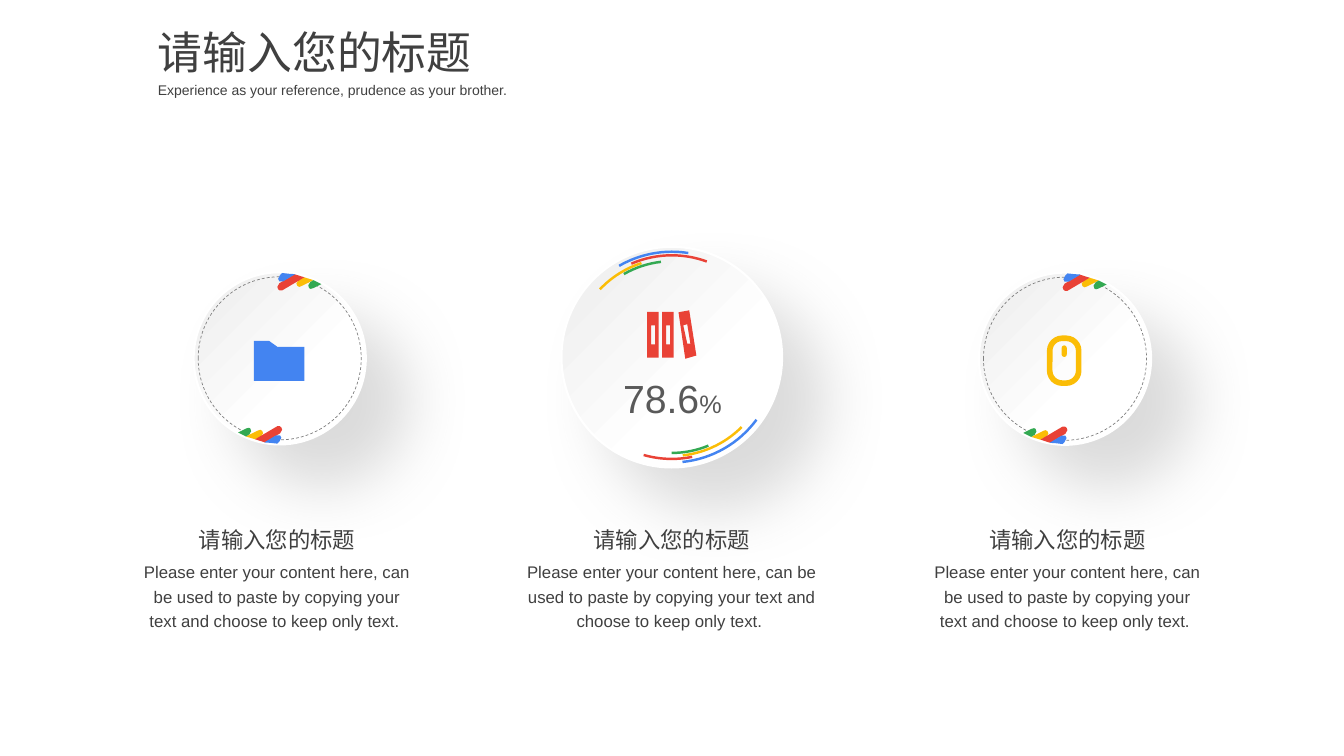
from copy import deepcopy
from dataclasses import dataclass

from lxml.etree import SubElement
from pptx import Presentation
from pptx.dml.color import RGBColor
from pptx.enum.dml import MSO_LINE_DASH_STYLE as Dash
from pptx.enum.shapes import MSO_SHAPE as Preset
from pptx.enum.text import MSO_AUTO_SIZE as AutoSize, PP_ALIGN as Align
from pptx.oxml.ns import qn
from pptx.util import Cm, Pt

COLORS = {
    "white": "FFFFFF", "pale": "ECECEC", "shadow": "A6A6A6", "dash": "808080",
    "text": "404040", "number": "595959",
    "blue": "4384F1", "red": "E94236", "yellow": "FBBD06", "green": "33A952",
}
FONT = "Arial"
HEADING = "请输入您的标题"
BODY = ("Please enter your content here, can be used to paste by copying "
        "your text and choose to keep only text. ")
Point = tuple[float, float]


@dataclass(frozen=True)
class Arc:
    color: str
    diameter: float
    rotation: float
    start: float  # degrees
    end: float


@dataclass(frozen=True)
class Outline:
    """Contours in cm, measured from the centre of a disc."""
    color: str
    contours: list[list[Point]]


@dataclass(frozen=True)
class Column:
    text_center: float
    disc_center: Point
    body_width: float


ARCS = [
    Arc("red", 5.13, 30, 284.01, 311.59),
    Arc("yellow", 4.98, 45, 321.37, 0),
    Arc("green", 4.83, 0, 270, 292.49),
    Arc("blue", 5.31, 0, 275.85, 323.56),
    Arc("red", 5.13, 270, 339.92, 23.41),
    Arc("yellow", 4.98, 285, 32.89, 61.62),
    Arc("green", 4.83, 240, 336.52, 0),
    Arc("blue", 5.31, 240, 321.01, 0),
]
STRIPES = [
    Outline("yellow", [[(.62, -2.04), (.85, -1.97), (.55, -1.82), (.49, -1.8),
                        (.44, -1.83), (.42, -1.89), (.47, -1.97)]]),
    Outline("red", [[(.37, -2.12), (.62, -2.04), (.06, -1.71), (0, -1.71),
                     (-.04, -1.74), (-.06, -1.8), (-.01, -1.89)]]),
    Outline("blue", [[(.06, -2.15), (.24, -2.13), (.39, -2.12), (.09, -1.94),
                      (-.01, -1.94), (-.04, -2), (.01, -2.1)]]),
    Outline("green", [[(.85, -1.97), (1.05, -1.87), (.85, -1.77), (.78, -1.75),
                       (.74, -1.77), (.72, -1.84), (.77, -1.92)]]),
]
FOLDER = Outline("blue", [[(-.06, -.29), (-.27, -.44), (-.65, -.44),
                           (-.65, .57), (.62, .57), (.62, -.29)]])
TILTED_BINDER = Outline("red", [
    [(.44, -1.18), (.17, -1.13), (.34, .04), (.62, -.04)],
    [(.29, -.8), (.39, -.83), (.47, -.34), (.39, -.34)]])
COLUMNS = [
    Column(6.98, (7.05, 9.03), 7.26),
    Column(16.93, (16.93, 9), 8.26),
    Column(26.9, (26.84, 9.04), 7.26),
]

presentation = Presentation()
presentation.slide_width, presentation.slide_height = Cm(33.87), Cm(19.05)
slide = presentation.slides.add_slide(presentation.slide_layouts[6])


def rgb(name: str) -> RGBColor:
    return RGBColor.from_string(COLORS[name])


def rectangle(left: float, top: float, right: float, bottom: float) -> list[Point]:
    return [(left, top), (right, top), (right, bottom), (left, bottom)]


def add_centered(preset: Preset, center: Point, width: float, height: float):
    shape = slide.shapes.add_shape(preset, Cm(center[0] - width / 2),
                                   Cm(center[1] - height / 2), Cm(width), Cm(height))
    shape.shadow.inherit = False
    shape.fill.background()
    return shape


def set_line(shape, color: str, width: float) -> None:
    shape.line.color.rgb = rgb(color)
    shape.line.width = Pt(width)


def add_disc(center: Point, diameter: float) -> None:
    disc = add_centered(Preset.OVAL, center, diameter, diameter)
    set_line(disc, "white", 1.5)
    # Gradient: white up to 36 %, then pale grey at the upper left
    disc.fill.gradient()
    disc.fill.gradient_angle = 135
    first, last = disc.fill.gradient_stops
    first.color.rgb, last.color.rgb = rgb("white"), rgb("pale")
    first.position, last.position = 0, 1
    properties = disc.element.spPr
    stops = properties.find(qn("a:gradFill")).find(qn("a:gsLst"))
    middle = deepcopy(stops[0])
    middle.set("pos", "36000")
    stops.insert(1, middle)
    # Soft shadow to the lower right
    shadow = SubElement(properties.find(qn("a:effectLst")), qn("a:outerShdw"),
                        blurRad=str(Pt(44)), dist=str(Pt(42)), dir="2700000",
                        algn="tl", rotWithShape="0")
    color = SubElement(shadow, qn("a:srgbClr"), val=COLORS["shadow"])
    SubElement(color, qn("a:alpha"), val="40000")


def add_arc(arc: Arc, center: Point) -> None:
    shape = add_centered(Preset.ARC, center, arc.diameter, arc.diameter)
    shape.adjustments[0] = arc.start * 0.6
    shape.adjustments[1] = arc.end * 0.6
    shape.rotation = arc.rotation
    shape.element.spPr.find(qn("a:xfrm")).set("flipV", "1")
    set_line(shape, arc.color, 1.75)


def add_outline(outline: Outline, center: Point, sign: int = 1) -> None:
    contours = [[(Cm(center[0] + sign * x), Cm(center[1] + sign * y))
                 for x, y in contour] for contour in outline.contours]
    builder = slide.shapes.build_freeform(*contours[0][0])
    builder.add_line_segments(contours[0][1:], close=True)
    for contour in contours[1:]:
        builder.move_to(*contour[0])
        builder.add_line_segments(contour[1:], close=True)
    shape = builder.convert_to_shape()
    shape.shadow.inherit = False
    shape.fill.solid()
    shape.fill.fore_color.rgb = rgb(outline.color)
    shape.line.fill.background()


def add_striped_disc(center: Point) -> None:
    add_disc(center, 4.34)
    ring = add_centered(Preset.OVAL, center, 4.11, 4.11)
    set_line(ring, "dash", 0.5)
    ring.line.dash_style = Dash.DASH
    for sign in (1, -1):
        for stripe in STRIPES:
            add_outline(stripe, center, sign)


def add_text(text: str, left: float, top: float, width: float, height: float,
             size: float, align: Align = Align.CENTER, spacing: float = 1.0,
             color: str = "text"):
    box = slide.shapes.add_textbox(Cm(left), Cm(top), Cm(width), Cm(height))
    box.text_frame.word_wrap = True
    box.text_frame.auto_size = AutoSize.SHAPE_TO_FIT_TEXT
    box.text_frame.text = text
    paragraph = box.text_frame.paragraphs[0]
    paragraph.alignment, paragraph.line_spacing = align, spacing
    style_run(paragraph.runs[0], size, color)
    return paragraph


def style_run(run, size: float, color: str) -> None:
    run.font.name, run.font.size = FONT, Pt(size)
    run.font.color.rgb = rgb(color)


# Discs
left_disc, middle_disc, right_disc = [column.disc_center for column in COLUMNS]
add_striped_disc(left_disc)
add_striped_disc(right_disc)
add_disc(middle_disc, 5.56)
for arc in ARCS:
    add_arc(arc, middle_disc)

# Icons: folder, binders, mouse
add_outline(FOLDER, left_disc)
for x in (-.24, -.62):
    add_outline(Outline("red", [rectangle(x, -1.14, x + .29, .01),
                                rectangle(x + .1, -.8, x + .2, -.32)]), middle_disc)
add_outline(TILTED_BINDER, middle_disc)
mouse = add_centered(Preset.ROUNDED_RECTANGLE, (26.82, 9.09), .73, 1.13)
mouse.adjustments[0] = 0.43
set_line(mouse, "yellow", 4)
wheel = add_centered(Preset.ROUNDED_RECTANGLE, (26.82, 8.85), .13, .29)
wheel.adjustments[0] = 0.5
wheel.fill.solid()
wheel.fill.fore_color.rgb = rgb("yellow")
wheel.line.fill.background()

# Percentage
percentage = add_text("78.6", 14.94, 9.32, 4.01, 1.45, 28, color="number")
percent_sign = percentage.add_run()
percent_sign.text = "%"
style_run(percent_sign, 18, "number")

# Column texts
for column in COLUMNS:
    add_text(BODY, column.text_center - column.body_width / 2, 13.94,
             column.body_width, 2.1, 12, spacing=1.2)
    add_text(HEADING, column.text_center - 3.05, 13.13, 6.1, .94, 16)

# Slide title
add_text(HEADING, 3.73, .51, 9.07, 1.63, 32, Align.LEFT)
add_text("Experience as your reference, prudence as your brother.",
         3.73, 1.85, 11.02, .74, 10, Align.LEFT, 1.2)

presentation.save("out.pptx")
